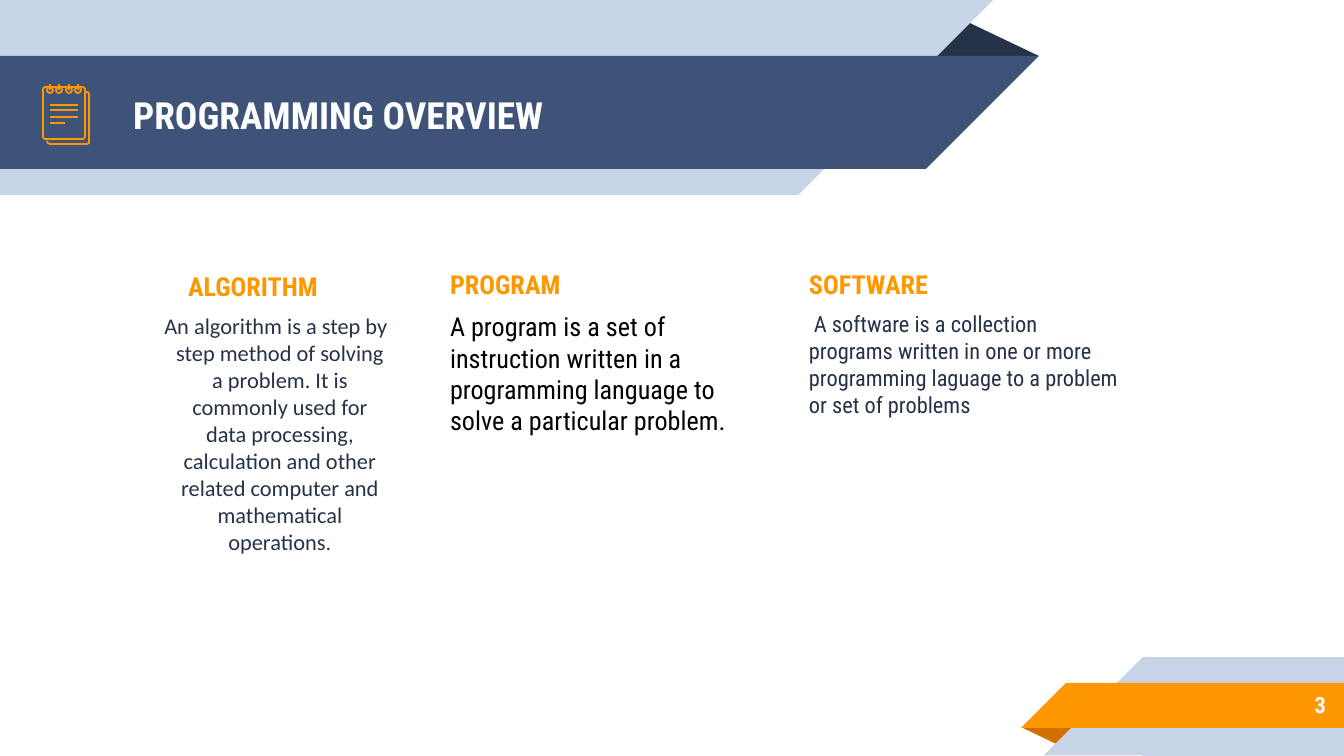
import pptx
import pptx.util
import pptx.dml.color
import pptx.enum.shapes
import pptx.enum.text

RGB = pptx.dml.color.RGBColor
KIND = pptx.enum.shapes.MSO_SHAPE
ALIGN = pptx.enum.text.PP_ALIGN
ANCHOR = pptx.enum.text.MSO_ANCHOR
Pt = pptx.util.Pt

PX = 914400 / 134.4  # EMU per pixel
NAVY = RGB(0x26, 0x32, 0x48)
BLUE = RGB(0x3F, 0x53, 0x78)
PALE = RGB(0xC7, 0xD3, 0xE6)
GOLD = RGB(0xFF, 0x98, 0x00)
RUST = RGB(0xD2, 0x6F, 0x00)
WHITE = RGB(0xFF, 0xFF, 0xFF)
BLACK = RGB(0x00, 0x00, 0x00)
FONT = "Roboto Condensed"

deck = pptx.Presentation()
deck.slide_width = round(1344 * PX)
deck.slide_height = round(756 * PX)
slide = deck.slides.add_slide(deck.slide_layouts[6])
shapes = slide.shapes


def add_box(x, y, w, h, anchor=ANCHOR.TOP):
    box = shapes.add_textbox(*(round(n * PX) for n in (x, y, w, h)))
    frame = box.text_frame
    frame.word_wrap = True
    frame.vertical_anchor = anchor
    frame.margin_left = frame.margin_right = round(13 * PX)
    frame.margin_top = frame.margin_bottom = round(13 * PX)
    return frame


def set_text(para, text, size, color, bold=False, font=FONT):
    para.add_run().text = text
    para.font.name = font
    para.font.size = Pt(size)
    para.font.bold = bold
    para.font.color.rgb = color


# Header and footer ribbons: kind, left, top, width, height, turn, fill
ribbons = [
    (KIND.ISOSCELES_TRIANGLE, 925, 19, 114, 37, 0, NAVY),
    (KIND.RECTANGLE, 0, 0, 798, 195, 0, PALE),
    (KIND.RIGHT_TRIANGLE, 798, 0, 195, 195, 90, PALE),
    (KIND.RECTANGLE, 0, 56, 926, 113, 0, BLUE),
    (KIND.RIGHT_TRIANGLE, 926, 56, 113, 113, 90, BLUE),
    (KIND.ISOSCELES_TRIANGLE, 1021, 727, 58, 19, 180, RUST),
    (KIND.RECTANGLE, 1142, 657, 202, 99, 0, PALE),
    (KIND.RIGHT_TRIANGLE, 1044, 657, 98, 99, 270, PALE),
    (KIND.RECTANGLE, 1066, 683, 278, 45, 0, GOLD),
    (KIND.RIGHT_TRIANGLE, 1021, 683, 45, 45, 270, GOLD),
]
for kind, x, y, w, h, turn, color in ribbons:
    part = shapes.add_shape(kind, *(round(n * PX) for n in (x, y, w, h)))
    part.shadow.inherit = False
    part.rotation = turn
    part.fill.solid()
    part.fill.fore_color.rgb = color
    part.line.fill.background()
    if kind == KIND.ISOSCELES_TRIANGLE:
        part.adjustments[0] = 0.32

# Title and page number
title = add_box(120, 58, 773, 113, ANCHOR.MIDDLE).paragraphs[0]
set_text(title, "PROGRAMMING OVERVIEW", 20, WHITE, True)
page = add_box(1120, 681, 219, 47, ANCHOR.MIDDLE).paragraphs[0]
page.alignment = ALIGN.RIGHT
set_text(page, "3", 12, WHITE, True)

# Notepad icon: pages and rings
pad = []
back = shapes.build_freeform(47, 141, scale=PX)
back.add_line_segments(
    [(48, 143), (50, 144), (87, 144), (89, 143), (89, 141),
     (89, 94), (88, 92), (86, 92)], close=False)
pad.append(back.convert_to_shape())
front = shapes.add_shape(
    KIND.ROUNDED_RECTANGLE, *(round(n * PX) for n in (43, 87, 42, 52)))
front.adjustments[0] = 0.06
pad.append(front)
pins = [50, 59, 69, 78]
for x in pins:
    pad.append(shapes.add_shape(
        KIND.OVAL, *(round(n * PX) for n in (x - 3, 87, 6, 6))))
for part in pad:
    part.shadow.inherit = False
    part.fill.background()
    part.line.color.rgb = GOLD
    part.line.width = Pt(0.96)

# Notepad icon: written lines and pins
marks = [(50, y, 78, y) for y in (105, 110, 117)] + [(50, 123, 65, 123)]
marks += [(x, 84, x, 90) for x in pins]
for ends in marks:
    mark = shapes.add_connector(
        pptx.enum.shapes.MSO_CONNECTOR.STRAIGHT, *(round(n * PX) for n in ends))
    mark.line.color.rgb = GOLD
    mark.line.width = Pt(0.96)
    mark._element.spPr.append(pptx.oxml.parse_xml(
        '<a:effectLst xmlns:a="http://schemas.openxmlformats.org/drawingml/2006/main"/>'))

# Three columns: left, top, width, head, head indent,
# body, size, color, font, align, margin, first indent
columns = [
    (90, 257, 313, "ALGORITHM", 85,
     "An algorithm is a step by step method of solving a problem. It is "
     "commonly used for data processing, calculation and other related "
     "computer and mathematical operations",
     12, NAVY, "Calibri", ALIGN.CENTER, 67, -8),
    (437, 255, 313, "PROGRAM", 0,
     "A program is a set of instruction written in a programming language "
     "to solve a particular problem.",
     14, BLACK, FONT, ALIGN.LEFT, 0, 0),
    (796, 255, 336, "SOFTWARE", 0,
     "A software is a collection programs written in one or more "
     "programming laguage to a problem or set of problems",
     12, NAVY, FONT, ALIGN.LEFT, 0, 5),
]
for x, y, w, head, shift, body, size, color, font, align, left, first in columns:
    frame = add_box(x, y, w, 379)
    top = frame.paragraphs[0]
    set_text(top, head, 14, GOLD, True)
    main = frame.add_paragraph()
    set_text(main, body, size, color, font=font)
    main.alignment = align
    for para, margin, indent in ((top, 0, shift), (main, left, first)):
        para.space_before = Pt(6)
        props = para._p.get_or_add_pPr()
        props.set("marL", str(round(margin * PX)))
        props.set("indent", str(round(indent * PX)))
    if font != FONT:
        stop = main.add_run()
        stop.text = "."
        stop.font.name = FONT

deck.save("out.pptx")
